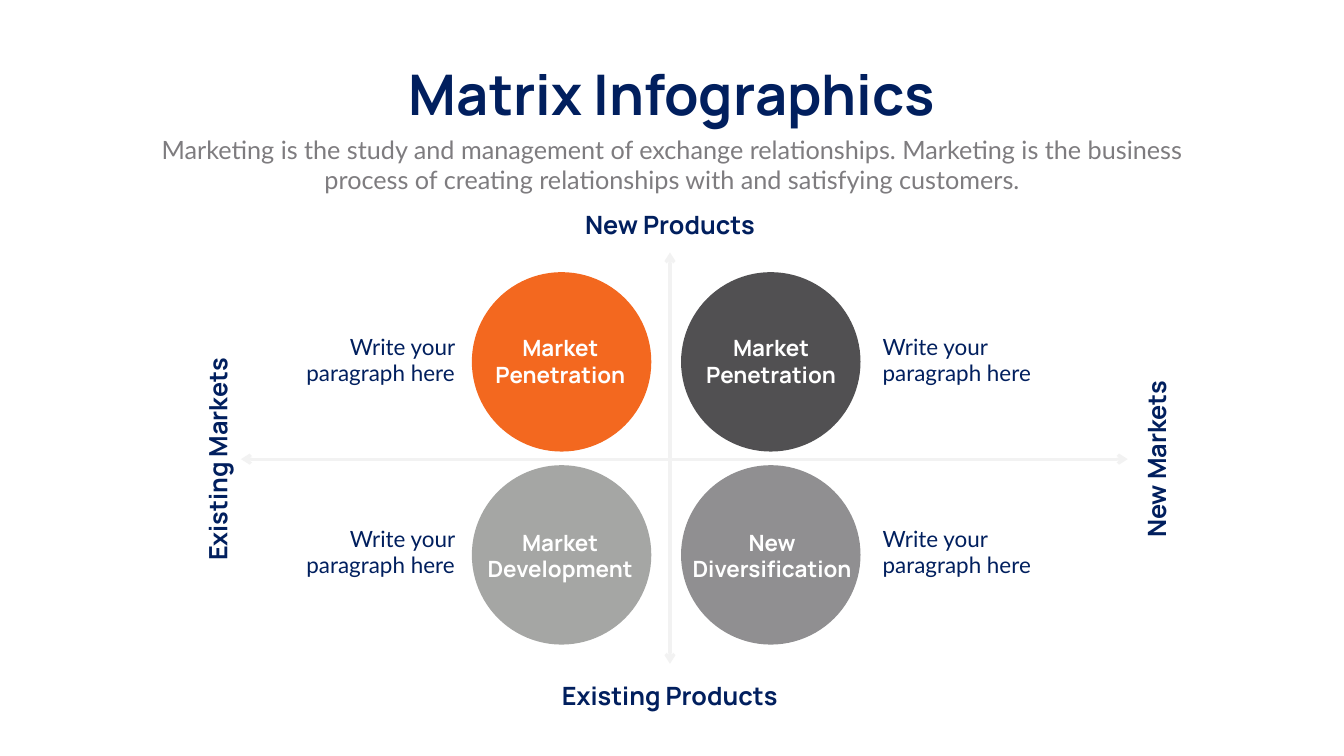
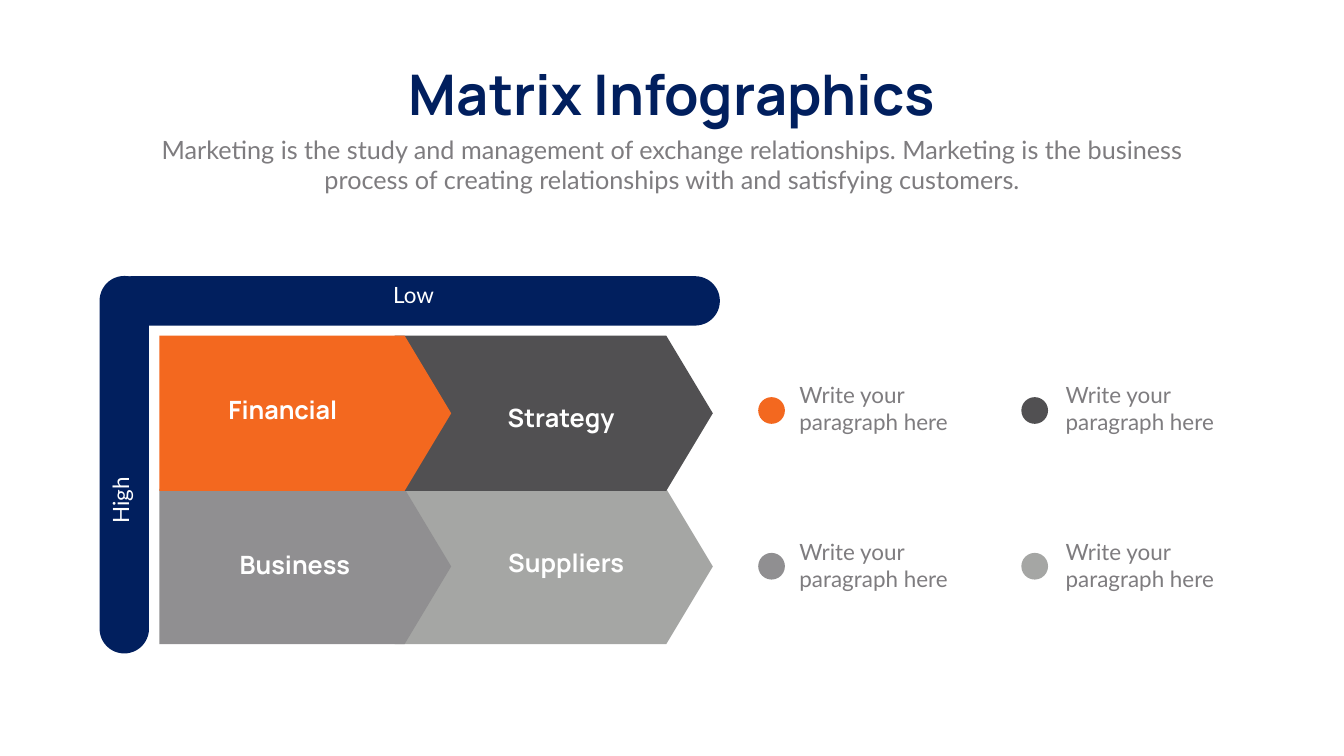
from lxml import etree
from pptx import Presentation
from pptx.dml.color import RGBColor
from pptx.enum import shapes, text
from pptx.oxml.ns import qn
from pptx.util import Inches, Pt

# Shared look
COLORS = {
    "navy": "011F5E", "orange": "F3681F", "dark": "515052", "mid": "908F91",
    "light": "A5A6A4", "body": "7E7C7F", "axis": "F2F2F2", "white": "FFFFFF",
}
HEADING, BODY = "Manrope", "Lato"
CENTER, LEFT, RIGHT = text.PP_ALIGN.CENTER, text.PP_ALIGN.LEFT, text.PP_ALIGN.RIGHT

# Shared content
TITLE = "Matrix Infographics"
SUBTITLE = ("Marketing is the study and management of exchange relationships. "
            "Marketing is the business process of creating relationships with "
            "and satisfying customers.")
NOTE = "Write your paragraph here"

# Slide 1: axis ends, axis names and quadrants
AXES = [((13.29, 5.01), (13.29, 13.17)), ((22.37, 9.11), (4.78, 9.11))]
AXIS_NAMES = [  # name, left, top, width, rotation
    ("New Products", 11.43, 4.11, 3.72, 0),
    ("Existing Products", 11, 13.44, 4.57, 0),
    ("Existing Markets", 2.13, 8.76, 4.37, 270),
    ("New Markets", 21.18, 8.76, 3.51, 270),
]
QUADRANTS = [  # label, colour, column, row, label left, label width
    ("Market\nPenetration", "orange", 0, 0, 9.59, 3.05),
    ("Market\nPenetration", "dark", 1, 0, 13.77, 3.05),
    ("Market\nDevelopment", "light", 0, 1, 9.43, 3.36),
    ("New\nDiversification", "mid", 1, 1, 13.54, 3.55),
]
CIRCLE = 3.56
CIRCLE_LEFTS, CIRCLE_TOPS = (9.36, 13.51), (5.4, 9.23)
LABEL_TOPS = (6.58, 10.44)
NOTE_LEFTS, NOTE_TOPS = (4.97, 17.41), (6.55, 10.36)
NOTE_ALIGNS = (RIGHT, LEFT)

# Slide 2: arrows from back to front, frame bars and legend
ARROWS = [  # label, colour, column, row, label left, label top, label width
    ("Suppliers", "light", 1, 1, 9.17, 10.81, 4.12),
    ("Business", "mid", 0, 1, 3.98, 10.85, 3.74),
    ("Strategy", "dark", 1, 0, 9.07, 7.93, 4.12),
    ("Financial", "orange", 0, 0, 3.74, 7.77, 3.74),
]
ARROW_LEFTS, ARROW_WIDTHS = (3.16, 7.83), (5.79, 6.31)
ARROW_TOPS, ARROW_HEIGHT, ARROW_POINT = (6.66, 9.7), 3.08, 0.3
BARS = [  # left, top, width, rotation
    (2.12, 5.48, 12.16, 0),
    (-1.28, 8.73, 7.49, 270),
]
BAR_HEIGHT = 0.98
BAR_NAMES = [("Low", 4.02, 5.81, 8.37, 0), ("High", -0.1, 9.73, 5.28, 270)]
DOT = 0.53
DOT_LEFTS, DOT_TOPS = (15.04, 20.26), (7.88, 10.97)
LEGEND_LEFTS, LEGEND_TOPS = (15.76, 21.04), (7.52, 10.62)


def rgb(color):
    return RGBColor.from_string(COLORS[color])


def add_text(slide, content, left, top, width, height, size, color,
             font=BODY, align=CENTER, wrap=True, rotation=0, spacing=None):
    box = slide.shapes.add_textbox(*map(Inches, (left, top, width, height)))
    box.rotation = rotation
    frame = box.text_frame
    frame.text = content
    frame.word_wrap = wrap
    frame.auto_size = text.MSO_AUTO_SIZE.SHAPE_TO_FIT_TEXT
    for paragraph in frame.paragraphs:
        paragraph.alignment = align
        if spacing:
            paragraph.line_spacing = Pt(spacing)
        for run in paragraph.runs:
            run.font.name = font
            run.font.size = Pt(size)
            run.font.bold = font == HEADING
            run.font.color.rgb = rgb(color)


def add_block(slide, kind, left, top, width, height, color, rotation=0, adjustment=None):
    shape = slide.shapes.add_shape(kind, *map(Inches, (left, top, width, height)))
    shape.shadow.inherit = False
    shape.fill.solid()
    shape.fill.fore_color.rgb = rgb(color)
    shape.line.fill.background()
    shape.rotation = rotation
    if adjustment is not None:
        shape.adjustments[0] = adjustment


def add_axis(slide, start, end):
    axis = slide.shapes.add_connector(shapes.MSO_CONNECTOR.STRAIGHT,
                                      *map(Inches, start + end))
    axis.line.color.rgb = rgb("axis")
    axis.line.width = Pt(4.5)
    properties = axis.line._get_or_add_ln()
    for tag in ("a:headEnd", "a:tailEnd"):
        etree.SubElement(properties, qn(tag), type="arrow")
    etree.SubElement(axis._element.spPr, qn("a:effectLst"))


def add_titled_slide(presentation):
    slide = presentation.slides.add_slide(presentation.slide_layouts[6])
    add_text(slide, TITLE, 7.57, 1.14, 11.53, 1.45, 80, "navy", HEADING, wrap=False)
    add_text(slide, SUBTITLE, 2.92, 2.61, 20.82, 1.31, 36, "body")
    return slide


def build_quadrants(presentation):
    slide = add_titled_slide(presentation)
    for start, end in AXES:
        add_axis(slide, start, end)
    for name, left, top, width, rotation in AXIS_NAMES:
        add_text(slide, name, left, top, width, 0.71, 36, "navy", HEADING,
                 wrap=False, rotation=rotation)
    for label, color, column, row, left, width in QUADRANTS:
        add_block(slide, shapes.MSO_SHAPE.OVAL, CIRCLE_LEFTS[column], CIRCLE_TOPS[row],
                  CIRCLE, CIRCLE, color)
        add_text(slide, label, left, LABEL_TOPS[row], width, 1.18, 32, "white", HEADING)
        add_text(slide, NOTE, NOTE_LEFTS[column], NOTE_TOPS[row], 4.15, 1.18, 32,
                 "navy", align=NOTE_ALIGNS[column])


def build_arrows(presentation):
    slide = add_titled_slide(presentation)
    # Arrow grid
    for _, color, column, row, *_ in ARROWS:
        add_block(slide, shapes.MSO_SHAPE.PENTAGON, ARROW_LEFTS[column], ARROW_TOPS[row],
                  ARROW_WIDTHS[column], ARROW_HEIGHT, color, adjustment=ARROW_POINT)
    for label, _, _, _, left, top, width in ARROWS:
        add_text(slide, label, left, top, width, 0.71, 36, "white", HEADING)
    # Frame bars
    for left, top, width, rotation in BARS:
        add_block(slide, shapes.MSO_SHAPE.ROUNDED_RECTANGLE, left, top, width, BAR_HEIGHT,
                  "navy", rotation, 0.5)
    for name, left, top, width, rotation in BAR_NAMES:
        add_text(slide, name, left, top, width, 0.39, 32, "white",
                 rotation=rotation, spacing=18.4)
    # Legend
    for _, color, column, row, *_ in ARROWS:
        add_block(slide, shapes.MSO_SHAPE.OVAL, DOT_LEFTS[column], DOT_TOPS[row],
                  DOT, DOT, color)
        add_text(slide, NOTE, LEGEND_LEFTS[column], LEGEND_TOPS[row], 3.64, 1.18, 32,
                 "body", align=LEFT)


def main():
    presentation = Presentation()
    presentation.slide_width = Inches(26.66)
    presentation.slide_height = Inches(15)
    build_quadrants(presentation)
    build_arrows(presentation)
    presentation.save("out.pptx")


if __name__ == "__main__":
    main()
